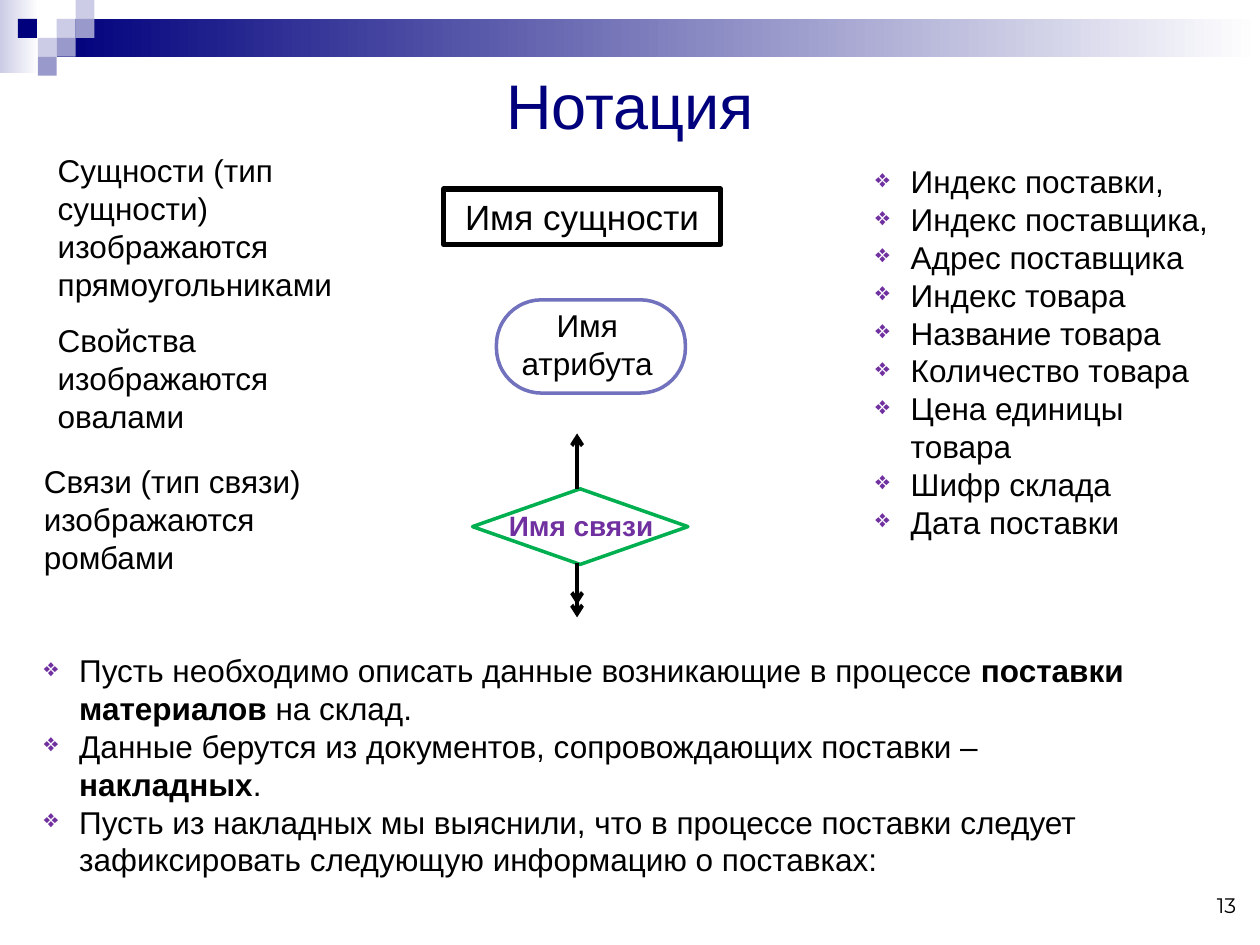
"""Build the entity-relationship notation slide."""
from dataclasses import dataclass
from typing import Optional

from lxml import etree
from pptx import Presentation
from pptx.dml.color import RGBColor
from pptx.enum.shapes import MSO_CONNECTOR, MSO_SHAPE
from pptx.enum.text import MSO_ANCHOR, MSO_AUTO_SIZE, PP_ALIGN
from pptx.oxml.ns import qn
from pptx.util import Inches, Pt

RECTANGLE, ROUNDED, DIAMOND = MSO_SHAPE.RECTANGLE, MSO_SHAPE.ROUNDED_RECTANGLE, MSO_SHAPE.DIAMOND
STRAIGHT = MSO_CONNECTOR.STRAIGHT
LEFT, CENTER, RIGHT = PP_ALIGN.LEFT, PP_ALIGN.CENTER, PP_ALIGN.RIGHT
TOP, MIDDLE, BOTTOM = MSO_ANCHOR.TOP, MSO_ANCHOR.MIDDLE, MSO_ANCHOR.BOTTOM
NO_AUTOSIZE = MSO_AUTO_SIZE.NONE

COLUMNS, ROWS = 100, 75
WIDTH, HEIGHT = Inches(10), Inches(7.5)
TILE = 1.5
HANGING = Inches(0.28)
COLORS = {
    "navy": "00007D", "lavender": "CCCCE6", "periwinkle": "9999CC", "white": "FFFFFF",
    "black": "000000", "violet": "7171BD", "purple": "7030A0", "green": "00B050",
}


@dataclass(frozen=True)
class Box:
    """Place on the grid, in columns and rows."""
    column: float
    row: float
    columns: float
    rows: float

    def emu(self) -> tuple[int, int, int, int]:
        """Return left, top, width and height in slide units."""
        return (column_x(self.column), row_y(self.row),
                column_x(self.columns), row_y(self.rows))


@dataclass(frozen=True)
class Run:
    """Piece of text in one weight."""
    text: str
    bold: bool = False


@dataclass(frozen=True)
class Style:
    """Look of a text block."""
    size: float = 18
    color: str = "black"
    font: str = "Arial"
    align: PP_ALIGN = LEFT
    anchor: MSO_ANCHOR = TOP
    bulleted: bool = False


@dataclass(frozen=True)
class Caption:
    """Text block with its place and look."""
    box: Box
    paragraphs: list[list[Run]]
    style: Style = Style()


@dataclass(frozen=True)
class Figure:
    """Outlined notation symbol."""
    kind: MSO_SHAPE
    box: Box
    color: str
    weight: float
    corner: Optional[float] = None


BANDS = [(Box(0, 0, 3.1, 5.8), "lavender"), (Box(4.5, 1.5, 95.5, 3), "navy")]
TILES = [(3, 1, "lavender"), (4, 0, "lavender"), (4, 1, "periwinkle"), (2, 2, "lavender"),
         (0.95, 1, "navy"), (3, 2, "periwinkle"), (2, 3, "periwinkle")]
ENTITY = Figure(RECTANGLE, Box(35.2, 15, 22, 4.4), "black", 3)
ATTRIBUTE = Figure(ROUNDED, Box(39.4, 23.8, 15, 7.4), "violet", 2, 0.483)
RELATION = Figure(DIAMOND, Box(37.5, 38.8, 17.1, 6), "green", 2)
ARROW_COLUMN = 45.8
ARROWS = [(38.8, 34.4), (44.7, 49), (44.7, 48)]
BULLETS = Style(bulleted=True)
FIELDS = ["Индекс поставки,", "Индекс поставщика,", "Адрес поставщика", "Индекс товара",
          "Название товара", "Количество товара", "Цена единицы товара", "Шифр склада",
          "Дата поставки"]
CAPTIONS = [
    Caption(Box(94.3, 70.1, 4.8, 3.2), [[Run("13")]],
            Style(12, font="Montserrat", align=RIGHT, anchor=BOTTOM)),
    Caption(Box(3.6, 11.5, 24.8, 13.1),
            [[Run("Сущности (тип сущности) изображаются прямоугольниками")]]),
    Caption(Box(3.6, 25, 28, 10.1), [[Run("Свойства изображаются овалами")]]),
    Caption(Box(2.5, 36.2, 28, 10.1), [[Run("Связи (тип связи) изображаются ромбами")]]),
    Caption(Box(38.7, 23.8, 15.8, 7.1), [[Run("Имя атрибута")]], Style(align=CENTER)),
    Caption(Box(39.4, 39.9, 16.2, 3.7), [[Run("Имя связи", True)]], Style(16, "purple")),
    Caption(Box(2.5, 51.2, 89.5, 19.2), [
        [Run("Пусть необходимо описать данные возникающие в процессе "),
         Run("поставки материалов", True), Run(" на склад.")],
        [Run("Данные берутся из документов, сопровождающих поставки – "),
         Run("накладных", True), Run(".")],
        [Run("Пусть из накладных мы выяснили, что в процессе поставки следует "
             "зафиксировать следующую информацию о поставках:")],
    ], BULLETS),
    Caption(Box(68.5, 12.4, 29.3, 34.3), [[Run(field)] for field in FIELDS], BULLETS),
]


def column_x(column: float) -> int:
    """Convert grid columns to a length."""
    return round(WIDTH * column / COLUMNS)


def row_y(row: float) -> int:
    """Convert grid rows to a length."""
    return round(HEIGHT * row / ROWS)


def rgb(name: str) -> RGBColor:
    """Look up a palette colour."""
    return RGBColor.from_string(COLORS[name])


def add_bullet(paragraph) -> None:
    """Give a paragraph a hanging diamond bullet."""
    properties = paragraph._p.get_or_add_pPr()
    properties.set("marL", str(HANGING))
    properties.set("indent", str(-HANGING))
    color = etree.SubElement(properties, qn("a:buClr"))
    etree.SubElement(color, qn("a:srgbClr"), val=COLORS["purple"])
    etree.SubElement(properties, qn("a:buSzPct"), val="80000")
    etree.SubElement(properties, qn("a:buChar"), char="❖")


def write_text(shape, paragraphs: list[list[Run]], style: Style) -> None:
    """Fill a shape with styled runs."""
    frame = shape.text_frame
    frame.auto_size = NO_AUTOSIZE
    frame.word_wrap = True
    frame.vertical_anchor = style.anchor
    for index, runs in enumerate(paragraphs):
        paragraph = frame.add_paragraph() if index else frame.paragraphs[0]
        paragraph.alignment = style.align
        if style.bulleted:
            add_bullet(paragraph)
        for piece in runs:
            run = paragraph.add_run()
            run.text = piece.text
            run.font.name, run.font.size = style.font, Pt(style.size)
            run.font.bold = piece.bold
            run.font.color.rgb = rgb(style.color)


def add_block(slide, box: Box, color: str, fades: bool = False) -> None:
    """Draw a decorative block, solid or fading to white."""
    shape = slide.shapes.add_shape(RECTANGLE, *box.emu())
    shape.shadow.inherit = False
    shape.line.fill.background()
    if fades:
        shape.fill.gradient()
        shape.fill.gradient_angle = 0
        for stop, name, position in zip(shape.fill.gradient_stops, (color, "white"), (0, 1)):
            stop.color.rgb = rgb(name)
            stop.position = position
    else:
        shape.fill.solid()
        shape.fill.fore_color.rgb = rgb(color)


def add_figure(slide, figure: Figure):
    """Draw an outlined symbol and return it."""
    shape = slide.shapes.add_shape(figure.kind, *figure.box.emu())
    shape.shadow.inherit = False
    shape.fill.background()
    shape.line.color.rgb = rgb(figure.color)
    shape.line.width = Pt(figure.weight)
    if figure.corner is not None:
        shape.adjustments[0] = figure.corner
    return shape


def add_arrow(slide, start_row: float, end_row: float) -> None:
    """Draw a vertical arrow leaving the relation symbol."""
    x = column_x(ARROW_COLUMN)
    arrow = slide.shapes.add_connector(STRAIGHT, x, row_y(start_row), x, row_y(end_row))
    arrow.line.color.rgb = rgb("black")
    arrow.line.width = Pt(2.25)
    etree.SubElement(arrow.line._get_or_add_ln(), qn("a:tailEnd"), type="arrow")
    etree.SubElement(arrow._element.spPr, qn("a:effectLst"))


def main() -> None:
    """Build and save the presentation."""
    presentation = Presentation()
    presentation.slide_width, presentation.slide_height = WIDTH, HEIGHT
    slide = presentation.slides.add_slide(presentation.slide_layouts[5])
    for box, color in BANDS:
        add_block(slide, box, color, fades=True)
    for column, row, color in TILES:
        add_block(slide, Box(column * TILE, row * TILE, TILE, TILE), color)
    title = slide.shapes.title
    title.left, title.top, title.width, title.height = Box(5, 5, 90, 6.5).emu()
    write_text(title, [[Run("Нотация")]], Style(36, "navy", align=CENTER, anchor=MIDDLE))
    entity = add_figure(slide, ENTITY)
    write_text(entity, [[Run("Имя сущности")]], Style(20, align=CENTER))
    for caption in CAPTIONS:
        write_text(slide.shapes.add_textbox(*caption.box.emu()), caption.paragraphs, caption.style)
    for figure in (ATTRIBUTE, RELATION):
        add_figure(slide, figure)
    for start_row, end_row in ARROWS:
        add_arrow(slide, start_row, end_row)
    presentation.save("out.pptx")


if __name__ == "__main__":
    main()
